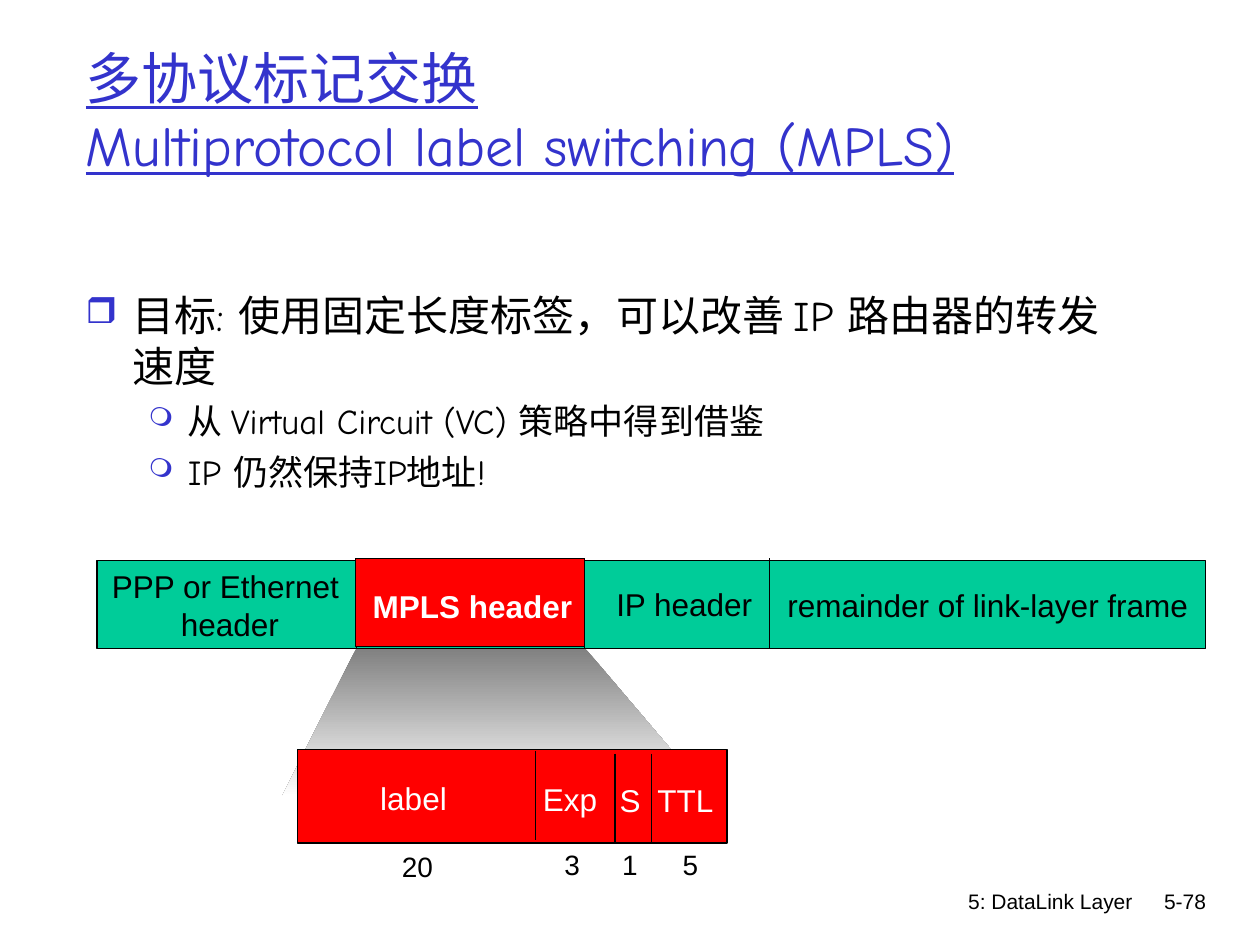
from pptx import Presentation
from pptx.dml.color import RGBColor
from pptx.enum.shapes import MSO_CONNECTOR, MSO_SHAPE
from pptx.enum.text import MSO_ANCHOR, MSO_AUTO_SIZE as AutoSize, PP_ALIGN as Align
from pptx.oxml.ns import qn
from pptx.util import Pt
from lxml.etree import SubElement

BLACK, WHITE, BLUE, RED, GREEN = "000000", "FFFFFF", "3333CC", "FF0000", "00CC99"
TITLE = ["多协议标记交换", "Multiprotocol label switching (MPLS)"]
BULLETS = [
    ("目标: 使用固定长度标签，可以改善 IP 路由器的转发速度", 0),
    ("从 Virtual Circuit (VC) 策略中得到借鉴", 1),
    ("IP 仍然保持IP地址!", 1),
]
LEVELS = [
    {"size": 24, "margin": 27, "hang": 27, "before": 6, "mark": "❒", "scale": 85},
    {"size": 20, "margin": 58.5, "hang": 22.5, "before": 5, "mark": "❍", "scale": 75},
]
FOOTER = [("5: DataLink Layer", 426.2, 228.2), ("5-78", 643, 53.3)]
FRAME = (55.4, 320.4, 633.6, 50.4)
MPLS = (203, 319, 131, 50.4)
DETAIL = (169.9, 428.4, 245.5, 53.3)
ZOOM = [(203.8, 370.1), (161.3, 455), (406.1, 455), (334.1, 370.1)]
FRAME_LABELS = [
    (["PPP or Ethernet ", "header"], (56.9, 320.4, 149, 50.4), Align.CENTER),
    (["IP header"], (344.9, 330.5, 92.2, 28.8), Align.CENTER),
    (["remainder of link-layer frame"], (442.8, 331.2, 243.4, 28.8), Align.LEFT),
]
FRAME_DIVIDERS = [(203.8, 319.7, 370.8), (334.1, 319, 370.1), (439.9, 319, 370.8)]
FIELDS = [
    ("label", 210.2, 441.4, 54),
    ("Exp", 303.1, 442.1, 47),
    ("S", 347, 442.8, 27.5),
    ("TTL", 368.6, 442.8, 48),
]
FIELD_DIVIDERS = [(306, 429.1, 480.2), (351.4, 430.6, 482.4), (372.2, 430.6, 481.7)]
BITS = [("20", 222.5, 481.7, 34), ("3", 315.4, 481, 25),
        ("1", 348.5, 481, 25), ("5", 383, 481, 25)]


def color(value):
    return RGBColor.from_string(value)


def points(values):
    return [Pt(value) for value in values]


def add_run(paragraph, text, size, fill=BLACK, font="Arial", bold=False, underline=False):
    run = paragraph.add_run()
    run.text = text
    run.font.name, run.font.size = font, Pt(size)
    run.font.bold, run.font.underline = bold, underline
    run.font.color.rgb = color(fill)


def add_label(slide, lines, box, size=18, fill=BLACK, align=Align.LEFT,
              bold=False, back=None, fit=True):
    shape = slide.shapes.add_textbox(*points(box))
    frame = shape.text_frame
    frame.word_wrap = not fit
    frame.auto_size = AutoSize.SHAPE_TO_FIT_TEXT if fit else AutoSize.NONE
    if back:
        shape.fill.solid()
        shape.fill.fore_color.rgb = color(back)
    for index, line in enumerate(lines):
        paragraph = frame.add_paragraph() if index else frame.paragraphs[0]
        paragraph.alignment = align
        add_run(paragraph, line, size, fill, bold=bold)


def add_block(slide, box, fill):
    shape = slide.shapes.add_shape(MSO_SHAPE.RECTANGLE, *points(box))
    shape.shadow.inherit = False
    shape.fill.solid()
    shape.fill.fore_color.rgb = color(fill)
    shape.line.color.rgb, shape.line.width = color(BLACK), Pt(0.75)


def add_dividers(slide, dividers):
    for x, top, bottom in dividers:
        line = slide.shapes.add_connector(
            MSO_CONNECTOR.STRAIGHT, *points((x, top, x, bottom)))
        line.line.color.rgb, line.line.width = color(BLACK), Pt(0.75)
        SubElement(line._element.spPr, qn("a:effectLst"))


def add_title(slide):
    title = slide.shapes.title
    title.left, title.top, title.width, title.height = points((41.8, 18, 612, 90))
    frame = title.text_frame
    frame.vertical_anchor, frame.auto_size = MSO_ANCHOR.MIDDLE, AutoSize.NONE
    paragraph = frame.paragraphs[0]
    paragraph.alignment = Align.LEFT
    paragraph.line_spacing = 1.0
    for index, line in enumerate(TITLE):
        if index:
            paragraph.add_line_break()
        add_run(paragraph, line, 32, BLUE, "Comic Neue", underline=True)


def add_bullets(slide):
    frame = slide.shapes.add_textbox(*points((41.8, 162, 612, 330.5))).text_frame
    frame.word_wrap = True
    for index, (text, depth) in enumerate(BULLETS):
        level = LEVELS[depth]
        paragraph = frame.add_paragraph() if index else frame.paragraphs[0]
        paragraph.level = depth
        if index:
            paragraph.space_before = Pt(level["before"])
        properties = paragraph._p.get_or_add_pPr()
        properties.set("marL", str(Pt(level["margin"])))
        properties.set("indent", str(-Pt(level["hang"])))
        tint = SubElement(properties, qn("a:buClr"))
        SubElement(tint, qn("a:srgbClr"), val=BLUE)
        SubElement(properties, qn("a:buSzPct"), val=str(level["scale"] * 1000))
        SubElement(properties, qn("a:buChar"), char=level["mark"])
        add_run(paragraph, text, level["size"], font="Comic Neue")


def add_zoom(slide):
    builder = slide.shapes.build_freeform(*points(ZOOM[0]), scale=1.0)
    builder.add_line_segments([points(corner) for corner in ZOOM[1:]], close=True)
    shape = builder.convert_to_shape()
    shape.shadow.inherit = False
    shape.line.fill.background()
    shape.fill.gradient()
    shape.fill.gradient_angle = 270
    for stop, value, position in zip(shape.fill.gradient_stops, ("808080", WHITE), (0, 1)):
        stop.color.rgb, stop.position = color(value), position


def main():
    """Build the MPLS header slide."""
    presentation = Presentation()
    presentation.slide_width, presentation.slide_height = Pt(720), Pt(540)
    slide = presentation.slides.add_slide(presentation.slide_layouts[5])
    for text, left, width in FOOTER:
        add_label(slide, [text], (left, 504, width, 36), 12, align=Align.RIGHT, fit=False)
    add_title(slide)
    add_bullets(slide)
    add_zoom(slide)
    add_block(slide, FRAME, GREEN)
    for lines, box, align in FRAME_LABELS:
        add_label(slide, lines, box, align=align)
    add_dividers(slide, FRAME_DIVIDERS)
    add_block(slide, MPLS, RED)
    add_label(slide, ["MPLS header"], (205.9, 331.9, 128.2, 28.8),
              fill=WHITE, align=Align.CENTER, bold=True)
    add_block(slide, DETAIL, RED)
    for text, left, top, width in FIELDS:
        add_label(slide, [text], (left, top, width, 28.8), fill=WHITE,
                  back=RED if left + width < DETAIL[0] + DETAIL[2] else None)
    add_dividers(slide, FIELD_DIVIDERS)
    for text, left, top, width in BITS:
        add_label(slide, [text], (left, top, width, 26.6), 16)
    presentation.save("out.pptx")


if __name__ == "__main__":
    main()
